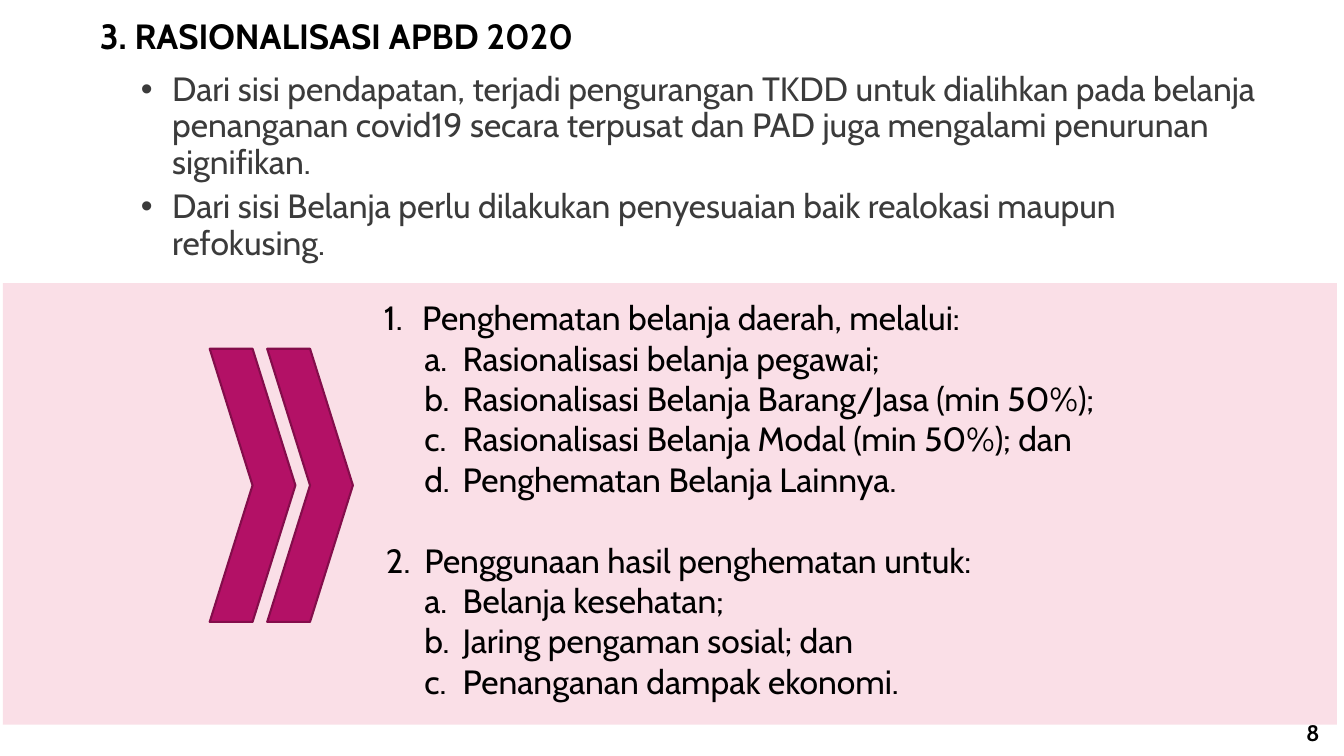
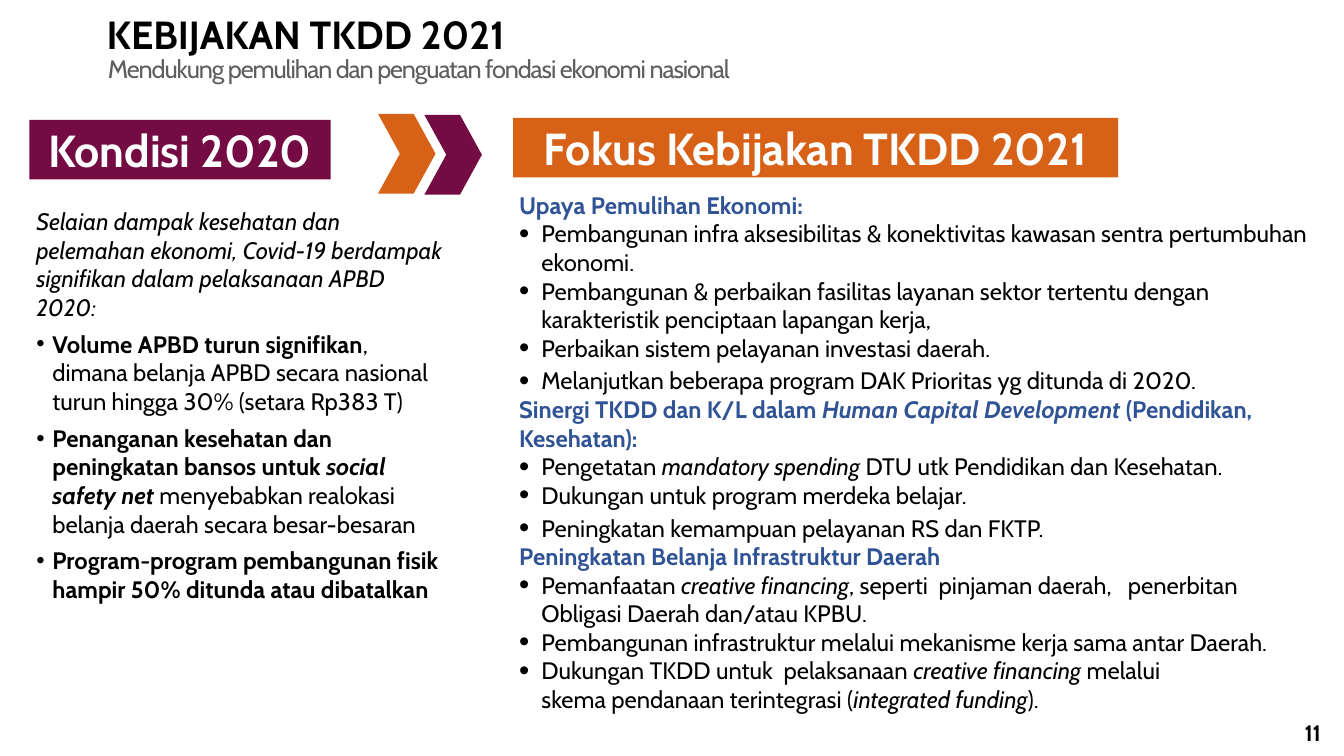
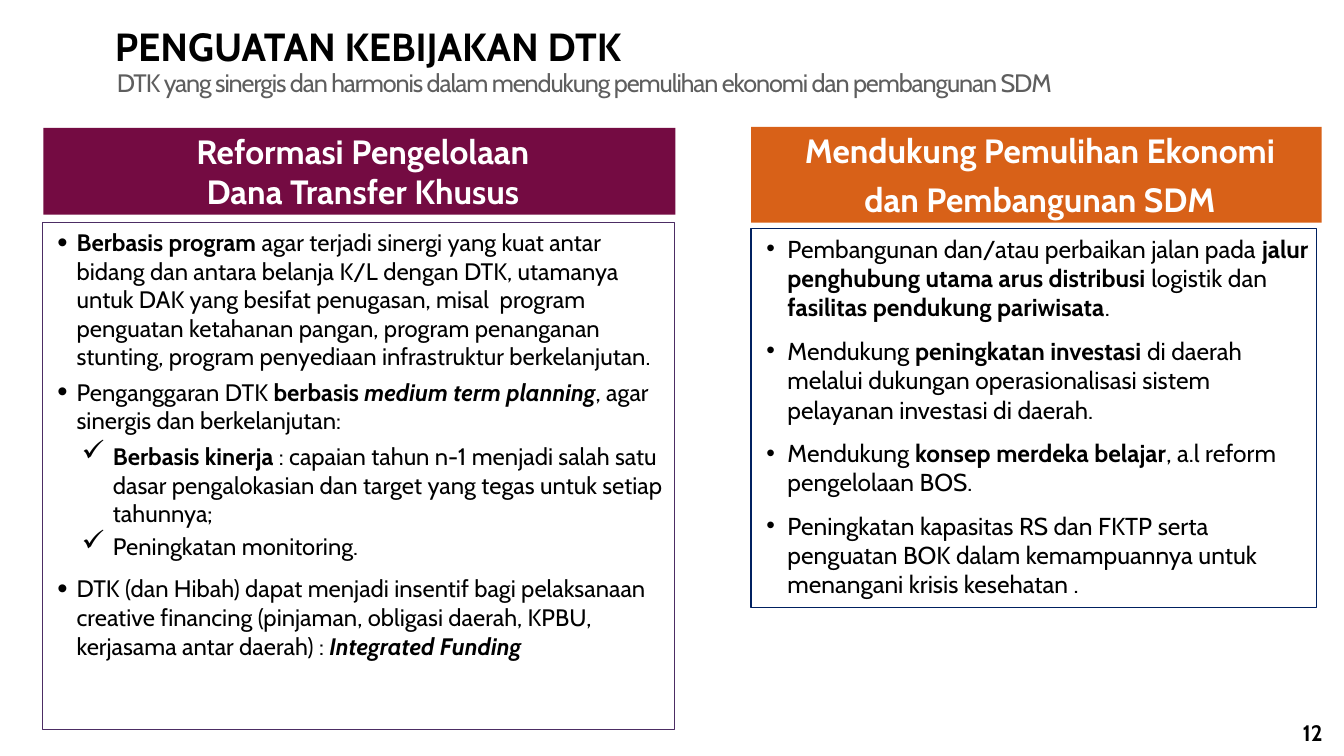
from lxml import etree
from pptx import Presentation, util as u
from pptx.dml.color import RGBColor
from pptx.enum import shapes, text
from pptx.oxml.ns import qn

FONT = "Cabin"
COLOURS = {
    "black": "000000", "white": "FFFFFF", "body": "3B3B3B", "subtitle": "5E5E5E",
    "heading": "2F5394", "blush": "F9D8E2", "magenta": "B31166", "magenta_edge": "840D4B",
    "plum": "740B42", "orange": "D86118", "violet": "4C2D64", "navy": "002060",
}
SIDES = ("margin_left", "margin_top", "margin_right", "margin_bottom")
TIGHT = (0.03,) * 4
PANEL = (0.05,) * 4
NUDGED = (0.1, 0.03, 0.03, 0.03)
CHEVRON = shapes.MSO_SHAPE.CHEVRON
RECTANGLE = shapes.MSO_SHAPE.RECTANGLE
MIDDLE = text.MSO_ANCHOR.MIDDLE
CENTER = text.PP_ALIGN.CENTER

LISTS = {
    "plain": {},
    "heading": {"colour": "heading", "bold": True},
    "intro": {"italic": True},
    "overview": {"indent": 0.31, "hang": 0.31, "char": "•"},
    "first": {"indent": 0.38, "hang": 0.38, "number": "arabicPeriod", "start": 1},
    "second": {"indent": 0.4, "hang": 0.38, "number": "arabicPeriod", "start": 2},
    "letter": {"indent": 0.78, "hang": 0.38, "number": "alphaLcPeriod", "start": 1, "level": 1},
    "condition": {"indent": 0.16, "hang": 0.16, "char": "•"},
    "focus": {"indent": 0.22, "hang": 0.22, "char": "•", "scale": 123},
    "reform": {"indent": 0.29, "hang": 0.19, "char": "•", "scale": 123},
    "check": {"indent": 0.65, "hang": 0.31, "char": "✓", "scale": 123, "level": 1},
    "recovery": {"indent": 0.31, "hang": 0.21, "char": "•"},
}


def rgb(name):
    return RGBColor.from_string(COLOURS[name])


def assign(target, values):
    for key, value in values.items():
        setattr(target, key, value)


def add_marker(paragraph, style):
    if "indent" not in style:
        return
    props = paragraph._p.get_or_add_pPr()
    props.set("marL", str(u.Inches(style["indent"])))
    props.set("indent", str(-u.Inches(style["hang"])))
    if "scale" in style:
        etree.SubElement(props, qn("a:buSzPct"), val=str(style["scale"] * 1000))
    if "number" in style:
        etree.SubElement(props, qn("a:buFont"), typeface=FONT)
        etree.SubElement(props, qn("a:buAutoNum"), type=style["number"], startAt=str(style["start"]))
    else:
        if style["char"] == "•":
            etree.SubElement(props, qn("a:buFont"), typeface="Arial")
        etree.SubElement(props, qn("a:buChar"), char=style["char"])


def add_run(paragraph, words, look, tracking):
    for index, line in enumerate(words.split("\n")):
        if index:
            paragraph.add_line_break()
        run = paragraph.add_run()
        run.text = line
        assign(run.font, look)
        if tracking:
            run._r.get_or_add_rPr().set("spc", str(round(tracking * 100)))


def write(shape, items, size, colour="black", bold=False, align=text.PP_ALIGN.LEFT,
          anchor=text.MSO_ANCHOR.TOP, inset=(0.1, 0.05, 0.1, 0.05), spacing=1.0, tracking=0):
    frame = shape.text_frame
    assign(frame, {"word_wrap": True, "vertical_anchor": anchor})
    assign(frame, dict(zip(SIDES, map(u.Inches, inset))))
    for index, (kind, before, *runs) in enumerate(items):
        paragraph = frame.add_paragraph() if index else frame.paragraphs[0]
        style = LISTS[kind]
        add_marker(paragraph, style)
        assign(paragraph, {"alignment": align, "level": style.get("level", 0),
                           "line_spacing": spacing, "space_before": u.Pt(before if index else 0)})
        for part in runs:
            words, marks = (part, "") if isinstance(part, str) else part
            look = {"name": FONT, "size": u.Pt(size),
                    "bold": bold or style.get("bold", False) or "b" in marks,
                    "italic": style.get("italic", False) or "i" in marks}
            add_run(paragraph, words, look, tracking)
        for run in paragraph.runs:
            run.font.color.rgb = rgb(style.get("colour", colour))


def add_text(slide, box, items, size, **options):
    write(slide.shapes.add_textbox(*map(u.Inches, box)), items, size, **options)


def add_block(slide, box, fill=None, line=None, width=1, kind=RECTANGLE, adjust=None):
    block = slide.shapes.add_shape(kind, *map(u.Inches, box))
    block.shadow.inherit = False
    if fill:
        block.fill.solid()
        block.fill.fore_color.rgb = rgb(fill)
    else:
        block.fill.background()
    if line:
        block.line.color.rgb = rgb(line)
        block.line.width = u.Pt(width)
    else:
        block.line.fill.background()
    if adjust:
        block.adjustments[0] = adjust
    return block


def add_band(slide, box, fill, size, *lines, inset=TIGHT, before=0):
    write(add_block(slide, box, fill), [("plain", before, line) for line in lines], size,
          colour="white", bold=True, align=CENTER, anchor=MIDDLE, inset=inset)


def add_panel(slide, box, line, size, items):
    write(add_block(slide, box, line=line), items, size, inset=PANEL)


def add_title(slide, box, words, size=28, **options):
    add_text(slide, box, [("plain", 0, words)], size, bold=True, anchor=MIDDLE, **options)


def add_subtitle(slide, box, words):
    add_text(slide, box, [("plain", 0, words)], 18, colour="subtitle", anchor=MIDDLE,
             inset=TIGHT, spacing=0.8, tracking=-0.8)


def new_slide(deck, number):
    slide = deck.slides.add_slide(deck.slide_layouts[6])
    add_text(slide, (12.71, 6.61, 0.62, 0.84), [("plain", 0, str(number))], 16, bold=True,
             align=CENTER, anchor=text.MSO_ANCHOR.BOTTOM)
    return slide


def budget_slide(deck):
    slide = new_slide(deck, 8)
    backdrop = add_block(slide, (0.03, 2.81, 13.23, 4.38), "blush")
    tint = backdrop.fill._xPr.find(qn("a:solidFill"))[0]
    etree.SubElement(tint, qn("a:alpha"), val="80000")
    add_title(slide, (0.92, 0.05, 12.13, 0.65), "3. RASIONALISASI APBD 2020", 25,
              inset=(0.07, 0.04, 0.07, 0.04), spacing=0.9)
    add_text(slide, (1.3, 0.67, 11.4, 2), [
        ("overview", 0, "Dari sisi pendapatan, terjadi pengurangan TKDD untuk dialihkan pada belanja "
                        "penanganan covid19 secara terpusat dan PAD juga mengalami penurunan signifikan."),
        ("overview", 6, "Dari sisi Belanja perlu dilakukan penyesuaian baik realokasi maupun refokusing."),
    ], 24, colour="body", spacing=0.9)
    add_text(slide, (3.71, 2.9, 7.57, 4.14), [
        ("first", 0, "Penghematan belanja daerah, melalui:"),
        ("letter", 0, "Rasionalisasi belanja pegawai;"),
        ("letter", 0, "Rasionalisasi Belanja Barang/Jasa (min 50%);"),
        ("letter", 0, "Rasionalisasi Belanja Modal (min 50%); dan"),
        ("letter", 0, "Penghematan Belanja Lainnya."),
        ("second", 29, "Penggunaan hasil penghematan untuk:"),
        ("letter", 0, "Belanja kesehatan;"),
        ("letter", 0, "Jaring pengaman sosial; dan"),
        ("letter", 0, "Penanganan dampak ekonomi."),
    ], 24)
    for left in (2.65, 2.08):
        add_block(slide, (left, 3.46, 0.85, 2.71), "magenta", "magenta_edge", 1.5, CHEVRON)


def policy_slide(deck):
    slide = new_slide(deck, 11)
    add_title(slide, (0.96, 0, 12.01, 0.68), "KEBIJAKAN TKDD 2021")
    add_subtitle(slide, (1.04, 0.56, 6.66, 0.3),
                 "Mendukung pemulihan dan penguatan fondasi ekonomi nasional")
    for left, top, fill in ((3.75, 1.13, "orange"), (4.21, 1.14, "plum")):
        add_block(slide, (left, top, 0.57, 0.79), fill, kind=CHEVRON, adjust=0.38)
    add_band(slide, (0.29, 1.19, 2.99, 0.59), "plum", 32, "Kondisi 2020")
    add_band(slide, (5.09, 1.17, 6, 0.59), "orange", 32, "Fokus Kebijakan TKDD 2021")
    add_text(slide, (0.33, 2.02, 4.09, 4.31), [
        ("intro", 0, "Selaian dampak kesehatan dan pelemahan ekonomi, Covid-19 berdampak "
                     "signifikan dalam pelaksanaan APBD 2020:"),
        ("condition", 6, ("Volume APBD turun signifikan", "b"),
         ", dimana belanja APBD secara nasional turun hingga 30% (setara Rp383 T)"),
        ("condition", 6, ("Penanganan kesehatan dan peningkatan bansos untuk ", "b"),
         ("social safety net ", "bi"), "menyebabkan realokasi belanja daerah secara besar-besaran"),
        ("condition", 6, ("Program-program pembangunan fisik hampir 50% ditunda atau dibatalkan", "b")),
    ], 17, inset=TIGHT)
    add_text(slide, (5.12, 1.86, 7.94, 5.28), [
        ("heading", 0, "Upaya Pemulihan Ekonomi:"),
        ("focus", 0, "Pembangunan infra aksesibilitas & konektivitas kawasan sentra pertumbuhan ekonomi."),
        ("focus", 0, "Pembangunan & perbaikan fasilitas layanan sektor tertentu dengan karakteristik "
                     "penciptaan lapangan kerja,"),
        ("focus", 0, "Perbaikan sistem pelayanan investasi daerah."),
        ("focus", 3, "Melanjutkan beberapa program DAK Prioritas yg ditunda di 2020."),
        ("heading", 0, "Sinergi TKDD dan K/L dalam ", ("Human Capital Development ", "i"),
         "(Pendidikan, Kesehatan):"),
        ("focus", 0, "Pengetatan ", ("mandatory spending ", "i"), "DTU utk Pendidikan dan Kesehatan."),
        ("focus", 0, "Dukungan untuk program merdeka belajar."),
        ("focus", 3, "Peningkatan kemampuan pelayanan RS dan FKTP."),
        ("heading", 0, "Peningkatan Belanja Infrastruktur Daerah"),
        ("focus", 0, "Pemanfaatan ", ("creative financing", "i"),
         ", seperti  pinjaman daerah,   penerbitan Obligasi Daerah dan/atau KPBU."),
        ("focus", 0, "Pembangunan infrastruktur melalui mekanisme kerja sama antar Daerah."),
        ("focus", 0, "Dukungan TKDD untuk  pelaksanaan ", ("creative financing ", "i"),
         "melalui \nskema pendanaan terintegrasi (", ("integrated funding", "i"), ")."),
    ], 17, inset=TIGHT)


def transfer_slide(deck):
    slide = new_slide(deck, 12)
    add_title(slide, (1.04, 0.09, 12.01, 0.78), "PENGUATAN KEBIJAKAN DTK", spacing=0.9)
    add_subtitle(slide, (1.13, 0.7, 10.18, 0.3),
                 "DTK yang sinergis dan harmonis dalam mendukung pemulihan ekonomi dan pembangunan SDM")
    add_panel(slide, (0.42, 2.21, 6.27, 5.03), "violet", 17, [
        ("reform", 0, ("Berbasis program", "b"),
         " agar terjadi sinergi yang kuat antar bidang dan antara belanja K/L dengan DTK, utamanya "
         "untuk DAK yang besifat penugasan, misal  program penguatan ketahanan pangan, program "
         "penanganan stunting, program penyediaan infrastruktur berkelanjutan."),
        ("reform", 5, "Penganggaran DTK ", ("berbasis ", "b"), ("medium term planning", "bi"),
         ", agar sinergis dan berkelanjutan:"),
        ("check", 5, ("Berbasis kinerja", "b"),
         " : capaian tahun n-1 menjadi salah satu dasar pengalokasian dan target yang tegas "
         "untuk setiap tahunnya;"),
        ("check", 3, "Peningkatan monitoring."),
        ("reform", 10, "DTK (dan Hibah) dapat menjadi insentif bagi pelaksanaan creative financing "
                       "(pinjaman, obligasi daerah, KPBU, kerjasama antar daerah) : ",
         ("Integrated Funding", "bi")),
    ])
    add_panel(slide, (7.45, 2.27, 5.61, 3.76), "navy", 17.5, [
        ("recovery", 0, "Pembangunan dan/atau perbaikan jalan pada ",
         ("jalur penghubung utama arus distribusi ", "b"), "logistik dan ",
         ("fasilitas pendukung pariwisata", "b"), "."),
        ("recovery", 10, "Mendukung ", ("peningkatan investasi", "b"),
         " di daerah melalui dukungan operasionalisasi sistem pelayanan investasi di daerah."),
        ("recovery", 10, "Mendukung ", ("konsep merdeka belajar", "b"),
         ", a.l reform pengelolaan BOS."),
        ("recovery", 10, "Peningkatan kapasitas RS dan FKTP serta penguatan BOK dalam "
                         "kemampuannya untuk menangani krisis kesehatan ."),
    ])
    add_band(slide, (0.43, 1.27, 6.27, 0.86), "plum", 24,
             "Reformasi Pengelolaan\nDana Transfer Khusus", inset=NUDGED)
    add_band(slide, (7.45, 1.26, 5.66, 0.95), "orange", 24,
             "Mendukung Pemulihan Ekonomi", "dan Pembangunan SDM", inset=NUDGED, before=6)


def main():
    deck = Presentation()
    assign(deck, {"slide_width": u.Inches(13.33), "slide_height": u.Inches(7.5)})
    for build in (budget_slide, policy_slide, transfer_slide):
        build(deck)
    deck.save("out.pptx")


if __name__ == "__main__":
    main()
